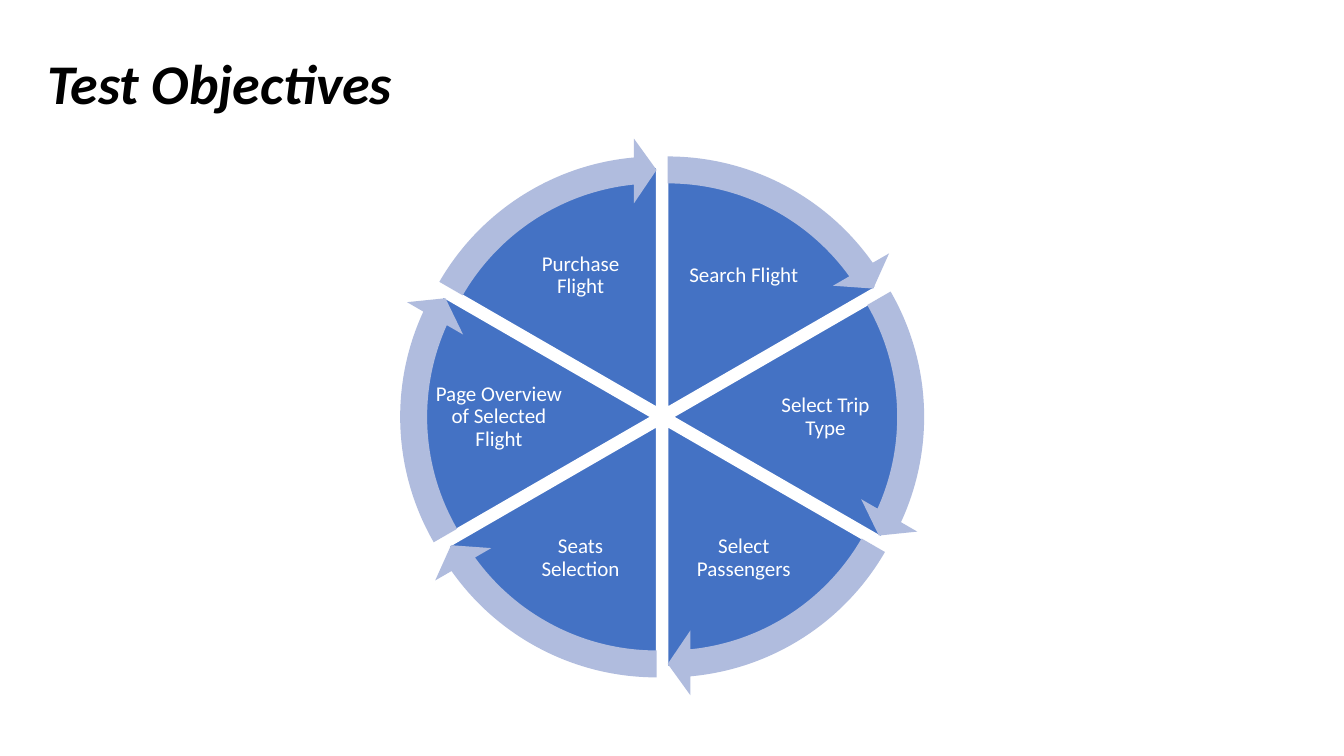
from math import cos, radians, sin

from pptx import Presentation
from pptx.dml.color import RGBColor
from pptx.enum.shapes import MSO_SHAPE as Preset
from pptx.enum.text import MSO_ANCHOR as Anchor, PP_ALIGN as Align
from pptx.util import Inches, Pt

OBJECTIVES = [
    "Search Flight",
    "Select Trip Type",
    "Select Passengers",
    "Seats Selection",
    "Page Overview of Selected Flight",
    "Purchase Flight",
]
HUB = (23.65, 14.89)
SECTOR = 360 / len(OBJECTIVES)
GAP = 0.4
WEDGE_SIZE = 17.14
ARROW_SIZE = 19.26
LABEL_RADIUS = 5.83
ARROW_SWEEP = 54.54
DEGREE = 0.6


def colour(value):
    """Turn a hex string into a colour."""
    return RGBColor.from_string(value)


def apply(target, formats):
    """Set each attribute named in a dict of format values."""
    for name, value in formats.items():
        setattr(target, name, value)


def around(angle, radius):
    """Return the grid point at an angle and radius from the hub."""
    turn = radians(angle)
    return HUB[0] + radius * cos(turn), HUB[1] + radius * sin(turn)


class WheelSlide:
    """Hold the style and the current slide, laid on a 48 by 27 grid."""

    COLUMNS, ROWS = 48, 27
    TITLE = {"name": "Calibri", "size": Pt(40), "bold": True, "italic": True}
    LABEL = {"name": "Calibri", "size": Pt(15)}
    INSETS = dict.fromkeys(
        ("margin_left", "margin_top", "margin_right", "margin_bottom"), Inches(0.02))

    def __init__(self, deck):
        """Add a title-only slide with a group for the wheel."""
        self.column = deck.slide_width / self.COLUMNS
        self.row = deck.slide_height / self.ROWS
        self.slide = deck.slides.add_slide(deck.slide_layouts[5])
        self.wheel = self.slide.shapes.add_group_shape().shapes

    def box(self, left, top, width, height):
        """Convert columns and rows to slide lengths."""
        return (round(left * self.column), round(top * self.row),
                round(width * self.column), round(height * self.row))

    def centred(self, point, width, height):
        """Return the box of a given size centred on a grid point."""
        return self.box(point[0] - width / 2, point[1] - height / 2, width, height)

    def wording(self, frame, words, font, ink, align):
        """Put one styled paragraph in a text frame."""
        apply(frame, {"word_wrap": True, "vertical_anchor": Anchor.MIDDLE})
        paragraph = frame.paragraphs[0]
        apply(paragraph, {"alignment": align, "line_spacing": 0.9})
        run = paragraph.add_run()
        run.text = words
        apply(run.font, font)
        run.font.color.rgb = colour(ink)

    def title(self, words):
        """Place and fill the title placeholder."""
        heading = self.slide.shapes.title
        places = self.box(1.33, 0.47, 41.4, 5.22)
        apply(heading, dict(zip(("left", "top", "width", "height"), places)))
        self.wording(heading.text_frame, words, self.TITLE, "000000", Align.LEFT)

    def sector(self, preset, middle, size, adjustments, fill):
        """Add a round preset pushed out from the hub along its middle angle."""
        part = self.wheel.add_shape(
            preset, *self.centred(around(middle, GAP), size, size))
        part.shadow.inherit = False
        for index, value in enumerate(adjustments):
            part.adjustments[index] = value
        part.fill.solid()
        part.fill.fore_color.rgb = colour(fill)
        part.line.fill.background()
        return part

    def wedge(self, start):
        """Add one white-edged slice of the wheel."""
        angles = [start * DEGREE, (start + SECTOR) % 360 * DEGREE]
        piece = self.sector(Preset.PIE, start + SECTOR / 2, WEDGE_SIZE, angles, "4472C4")
        piece.line.color.rgb = colour("FFFFFF")
        piece.line.width = Pt(1)

    def arrow(self, start):
        """Add the curved arrow outside one slice."""
        end = (start + ARROW_SWEEP) % 360
        bends = [0.05, 3.28, end * DEGREE, start * DEGREE, 0.06]
        self.sector(Preset.CIRCULAR_ARROW, start + SECTOR / 2, ARROW_SIZE, bends, "B0BCDE")

    def label(self, start, words):
        """Place an objective in the middle of its slice."""
        middle = start + SECTOR / 2
        width = 4.68 if middle % 180 == 0 else 4.5
        caption = self.wheel.add_textbox(
            *self.centred(around(middle, LABEL_RADIUS), width, 3.42))
        apply(caption.text_frame, self.INSETS)
        self.wording(caption.text_frame, words, self.LABEL, "FFFFFF", Align.CENTER)


def main():
    """Build the slide of test objectives."""
    deck = Presentation()
    apply(deck, {"slide_width": Inches(13.33), "slide_height": Inches(7.5)})
    page = WheelSlide(deck)
    page.title("Test Objectives")
    starts = [(270 + SECTOR * step) % 360 for step in range(len(OBJECTIVES))]
    for start, objective in zip(starts, OBJECTIVES):
        page.wedge(start)
        page.label(start, objective)
    for start in starts:
        page.arrow(start)
    deck.save("out.pptx")


if __name__ == "__main__":
    main()
